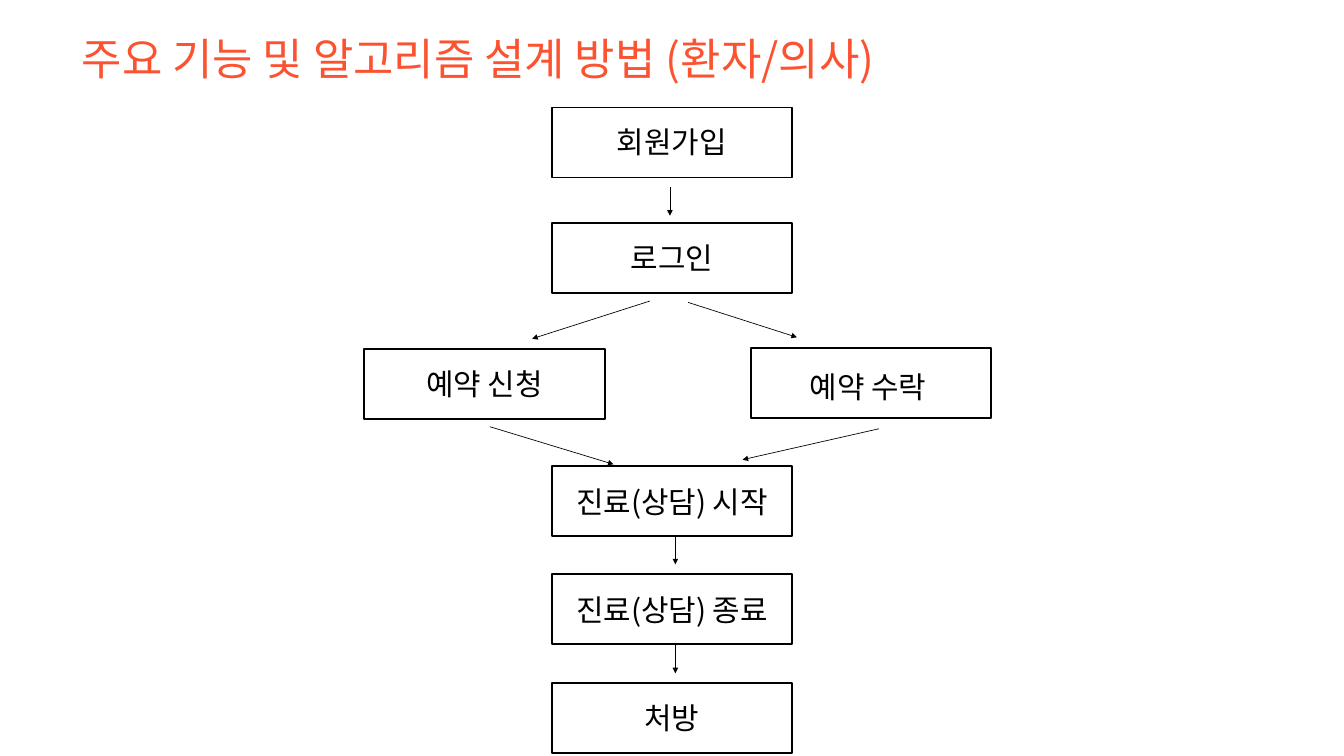
from pptx import Presentation
from pptx.dml.color import RGBColor
from pptx.enum.shapes import MSO_CONNECTOR, MSO_SHAPE
from pptx.enum.text import MSO_ANCHOR, MSO_AUTO_SIZE, PP_ALIGN
from pptx.oxml.ns import qn
from pptx.util import Pt
from lxml import etree

ORANGE = RGBColor(0xFC, 0x52, 0x30)
BLACK = RGBColor(0x00, 0x00, 0x00)
WHITE = RGBColor(0xFF, 0xFF, 0xFF)
FONT = "Noto Sans CJK KR"

prs = Presentation()
prs.slide_width, prs.slide_height = Pt(1440), Pt(810)
slide = prs.slides.add_slide(prs.slide_layouts[6])


def add_text(text, left, top, width, height, size, color, align):
    frame = slide.shapes.add_textbox(Pt(left), Pt(top), Pt(width), Pt(height)).text_frame
    frame_format = {
        "word_wrap": True,
        "auto_size": MSO_AUTO_SIZE.SHAPE_TO_FIT_TEXT,
        "vertical_anchor": MSO_ANCHOR.MIDDLE,
        "margin_top": 0,
        "margin_bottom": 0,
    }
    for name, value in frame_format.items():
        setattr(frame, name, value)
    paragraph = frame.paragraphs[0]
    paragraph.alignment = align
    run = paragraph.add_run()
    run.text = text
    run.font.size = Pt(size)
    run.font.color.rgb = color
    run.font.name = FONT
    etree.SubElement(run.font._element, qn("a:ea"), typeface=FONT)


# Title
add_text("주요 기능 및 알고리즘 설계 방법 (환자/의사)",
         80.64, 30.24, 1273.7, 64, 47, ORANGE, PP_ALIGN.LEFT)

# Steps: label, box left, box top, label shift right and down
BOX_WIDTH, BOX_HEIGHT, LABEL_HEIGHT = 257.8, 75, 46
CENTER_LEFT = 591.1
steps = [
    ("회원가입", CENTER_LEFT, 115.2, 0, 13.7),
    ("로그인", CENTER_LEFT, 239, 0, 13.7),
    ("예약 신청", 390.2, 374.4, 0, 13.7),
    ("예약 수락", 804.2, 373, -2.9, 18),
    ("진료(상담) 시작", CENTER_LEFT, 499.7, 0, 14.4),
    ("진료(상담) 종료", CENTER_LEFT, 614.9, 0, 15.1),
    ("처방", CENTER_LEFT, 731.5, 0, 14.4),
]
for label, left, top, shift_right, shift_down in steps:
    step = slide.shapes.add_shape(
        MSO_SHAPE.RECTANGLE, Pt(left), Pt(top), Pt(BOX_WIDTH), Pt(BOX_HEIGHT))
    step.shadow.inherit = False
    step.fill.solid()
    step.fill.fore_color.rgb = WHITE
    step.line.color.rgb = BLACK
    step.line.width = Pt(2)
    add_text(label, left + shift_right, top + shift_down, BOX_WIDTH, LABEL_HEIGHT,
             32, BLACK, PP_ALIGN.CENTER)

# Arrows between the steps: start x, y and end x, y
arrows = [
    (717.8, 200.9, 717.8, 231.1),
    (696.2, 322.6, 570.2, 362.9),
    (737.3, 324, 853.9, 361.4),
    (524.9, 457.2, 657.4, 497.5),
    (941.8, 459.4, 795.6, 492.5),
    (723.6, 575.3, 723.6, 604.8),
    (723.6, 691.2, 723.6, 721.4),
]
for ends in arrows:
    arrow = slide.shapes.add_connector(MSO_CONNECTOR.STRAIGHT, *map(Pt, ends))
    arrow.line.color.rgb = BLACK
    arrow.line.width = Pt(0.75)
    etree.SubElement(arrow.line._get_or_add_ln(), qn("a:tailEnd"), type="triangle")
    etree.SubElement(arrow._element.spPr, qn("a:effectLst"))

prs.save("out.pptx")
